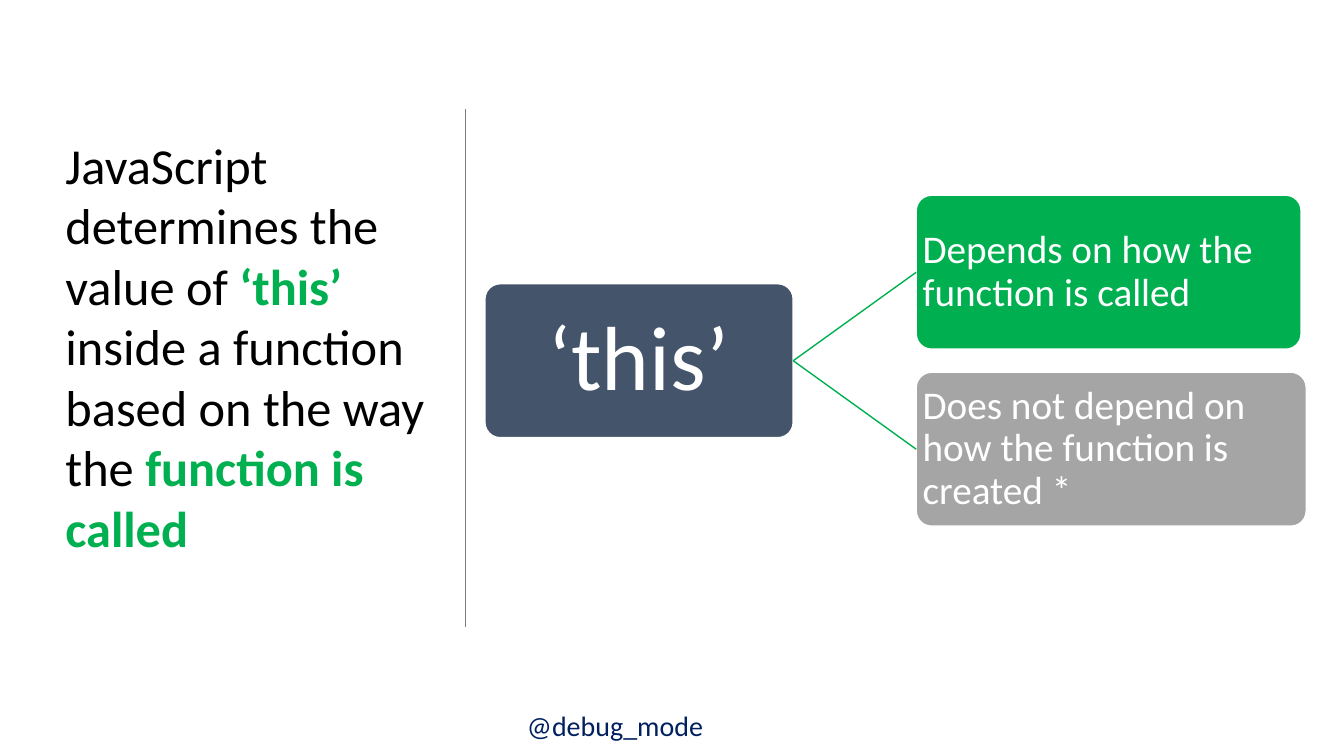
from dataclasses import dataclass

from lxml.etree import SubElement
from pptx import Presentation
from pptx.dml.color import RGBColor
from pptx.enum.shapes import MSO_CONNECTOR, MSO_SHAPE
from pptx.enum.text import MSO_ANCHOR, PP_ALIGN
from pptx.oxml.ns import qn
from pptx.util import Cm, Pt


@dataclass(frozen=True)
class Theme:
    font: str = "Calibri"
    black: str = "000000"
    white: str = "FFFFFF"
    green: str = "00B050"
    slate: str = "44546A"
    grey: str = "A5A5A5"
    rule: str = "7F7F7F"
    navy: str = "002060"
    hub_size: int = 65
    statement_size: int = 36
    branch_size: int = 28
    handle_size: int = 20


THEME = Theme()


def set_attrs(obj, formats):
    for name, value in formats.items():
        setattr(obj, name, value)


def add_run(p, text, size, color, bold=False):
    r = p.add_run()
    r.text = text
    set_attrs(r.font, {"name": THEME.font, "size": Pt(size), "bold": bold})
    r.font.color.rgb = RGBColor.from_string(color)


def add_text(s, left, top, width, height, runs, size):
    """Text box with one paragraph of (text, color, bold) runs."""
    tf = s.shapes.add_textbox(Cm(left), Cm(top), Cm(width), Cm(height)).text_frame
    tf.word_wrap = True
    for text, color, bold in runs:
        add_run(tf.paragraphs[0], text, size, color, bold)


def add_node(s, left, middle, width, text, fill, size, inset, align):
    """Rounded box centred vertically on middle."""
    height = 3.88
    sp = s.shapes.add_shape(MSO_SHAPE.ROUNDED_RECTANGLE, Cm(left),
                            Cm(middle - height / 2), Cm(width), Cm(height))
    sp.adjustments[0] = 0.1
    sp.shadow.inherit = False
    sp.fill.solid()
    sp.fill.fore_color.rgb = RGBColor.from_string(fill)
    sp.line.color.rgb = RGBColor.from_string(THEME.white)
    sp.line.width = Pt(1)
    tf = sp.text_frame
    set_attrs(tf, {"word_wrap": True, "vertical_anchor": MSO_ANCHOR.MIDDLE,
                   "margin_left": Cm(inset), "margin_right": Cm(inset),
                   "margin_top": Cm(inset), "margin_bottom": Cm(inset)})
    p = tf.paragraphs[0]
    set_attrs(p, {"alignment": align, "line_spacing": 0.9})
    add_run(p, text, size, THEME.white)
    return sp


def add_line(s, color, width, x1=0, y1=0, x2=0, y2=0):
    line = s.shapes.add_connector(MSO_CONNECTOR.STRAIGHT, Cm(x1), Cm(y1), Cm(x2), Cm(y2))
    line.line.color.rgb = RGBColor.from_string(color)
    line.line.width = Pt(width)
    SubElement(line._element.spPr, qn("a:effectLst"))
    return line


def main():
    prs = Presentation()
    set_attrs(prs, {"slide_width": Cm(33.87), "slide_height": Cm(19.05)})
    s = prs.slides.add_slide(prs.slide_layouts[6])

    # Statement and divider
    add_text(s, 1.4, 3.25, 9.86, 12.9, [
        ("JavaScript determines the value of ", THEME.black, False),
        ("‘this’ ", THEME.green, True),
        ("inside a function based on the way the ", THEME.black, False),
        ("function is called", THEME.green, True),
    ], THEME.statement_size)
    add_line(s, THEME.rule, 0.75, 11.73, 2.75, 11.73, 15.8)

    # Hub with its two branches
    middle, offset = 9.09, 2.23
    hub = add_node(s, 12.22, middle, 7.77, "‘this’", THEME.slate,
                   THEME.hub_size, 0.13, PP_ALIGN.CENTER)
    branches = [
        (-offset, 9.7, "Depends on how the function is called", THEME.green),
        (offset, 9.83, "Does not depend on how the function is created *", THEME.grey),
    ]
    for shift, width, text, fill in branches:
        branch = add_node(s, 23.09, middle + shift, width, text, fill,
                          THEME.branch_size, 0.05, PP_ALIGN.LEFT)
        link = add_line(s, THEME.green, 1)
        link.begin_connect(hub, 3)
        link.end_connect(branch, 1)

    # Footer handle
    add_text(s, 13.03, 17.73, 9.9, 1.11, [("@debug_mode", THEME.navy, False)],
             THEME.handle_size)

    prs.save("out.pptx")


if __name__ == "__main__":
    main()
